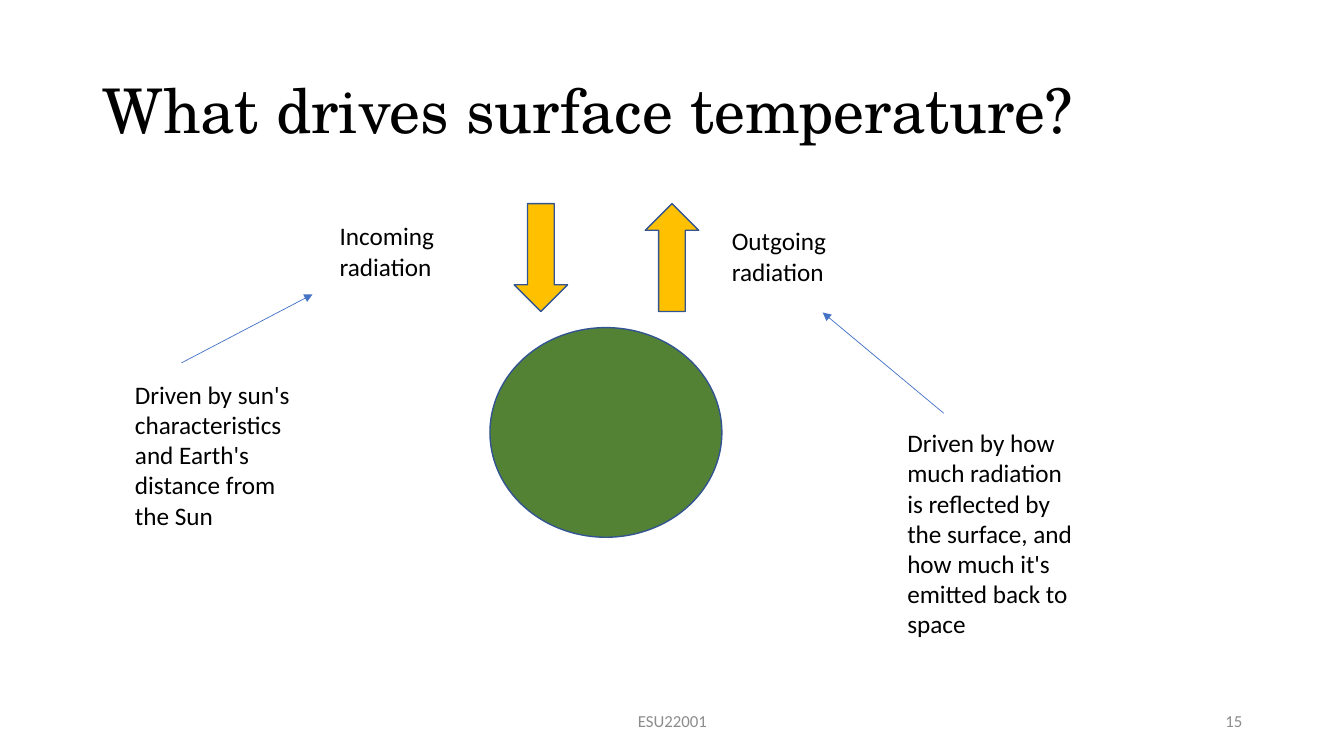
from dataclasses import dataclass

from lxml.etree import SubElement
from pptx import Presentation
from pptx.dml.color import RGBColor
from pptx.enum.shapes import MSO_CONNECTOR as Link, MSO_SHAPE as Form
from pptx.enum.text import MSO_ANCHOR as Anchor, PP_ALIGN as Align
from pptx.oxml.ns import qn
from pptx.util import Inches, Pt


@dataclass(frozen=True)
class Theme:
    ink: str = "000000"
    grey: str = "8C8C8C"
    green: str = "548235"
    gold: str = "FFC000"
    edge: str = "325491"
    blue: str = "4472C4"
    head_font: str = "TeX Gyre Schola"
    font: str = "Calibri"
    head: int = 44
    body: int = 18
    small: int = 12


theme = Theme()


def color(code):
    return RGBColor.from_string(code)


def add_text(slide, words, box, *, size=theme.body, font=theme.font,
             ink=theme.ink, align=Align.LEFT, anchor=Anchor.TOP, lead=None):
    frame = slide.shapes.add_textbox(*map(Inches, box)).text_frame
    frame.word_wrap = True
    frame.vertical_anchor = anchor
    para = frame.paragraphs[0]
    para.alignment = align
    if lead:
        para.line_spacing = lead
    run = para.add_run()
    run.text = words
    run.font.size, run.font.name = Pt(size), font
    run.font.color.rgb = color(ink)


def add_form(slide, form, box, fill):
    shape = slide.shapes.add_shape(form, *map(Inches, box))
    shape.shadow.inherit = False
    shape.fill.solid()
    shape.fill.fore_color.rgb = color(fill)
    shape.line.color.rgb = color(theme.edge)
    shape.line.width = Pt(1)


def add_arrow(slide, start, end):
    link = slide.shapes.add_connector(Link.STRAIGHT, *map(Inches, start + end))
    link.line.color.rgb = color(theme.blue)
    link.line.width = Pt(0.5)
    SubElement(link.line._get_or_add_ln(), qn("a:tailEnd"), type="triangle")
    SubElement(link._element.spPr, qn("a:effectLst"))


# Title across the top
def add_title(slide, box):
    add_text(slide, "What drives surface temperature?", box, size=theme.head,
             font=theme.head_font, anchor=Anchor.MIDDLE, lead=0.9)


# Earth with one arrow in and one arrow out
def add_earth(slide, box):
    left, top, wide, high = box
    add_form(slide, Form.OVAL, (left, top + 1.23, wide, high - 1.23), theme.green)
    for form, shift in ((Form.DOWN_ARROW, 0.24), (Form.UP_ARROW, 1.54)):
        add_form(slide, form, (left + shift, top, 0.53, 1.07), theme.gold)


# Flow label, the cause below it, and the arrow that joins them
def add_flow(slide, box, flow, cause, label, note, start, end):
    left, top, _, high = box
    add_text(slide, flow, (left + label, top, 1.58, 0.71))
    add_text(slide, cause, (left + note[0], top + note[1], 1.91, high - note[1]))
    add_arrow(slide, *((left + x, top + y) for x, y in (start, end)))


# Course code and slide number
def add_footer(slide, box):
    left, top, wide, high = box
    style = dict(size=theme.small, ink=theme.grey, anchor=Anchor.MIDDLE)
    add_text(slide, "ESU22001", (left + (wide - 4.5) / 2, top, 4.5, high),
             align=Align.CENTER, **style)
    add_text(slide, "15", (left + wide - 3, top, 3, high),
             align=Align.RIGHT, **style)


def main():
    deck = Presentation()
    deck.slide_width, deck.slide_height = Inches(13.33), Inches(7.5)
    slide = deck.slides.add_slide(deck.slide_layouts[6])

    add_title(slide, (0.92, 0.4, 11.5, 1.45))
    add_earth(slide, (4.86, 2.02, 2.3, 3.31))
    add_flow(slide, (1.24, 2.14, 3.61, 3.49), "Incoming radiation",
             "Driven by sun's characteristics and Earth's distance from the Sun",
             label=2.03, note=(0, 1.57), start=(0.56, 1.46), end=(1.86, 0.78))
    add_flow(slide, (7.16, 2.19, 3.65, 4.52), "Outgoing radiation",
             "Driven by how much radiation is reflected by the surface, "
             "and how much it's emitted back to space",
             label=0, note=(1.74, 2), start=(2.2, 1.91), end=(1, 0.91))
    add_footer(slide, (0.92, 6.95, 11.5, 0.4))
    deck.save("out.pptx")


if __name__ == "__main__":
    main()
